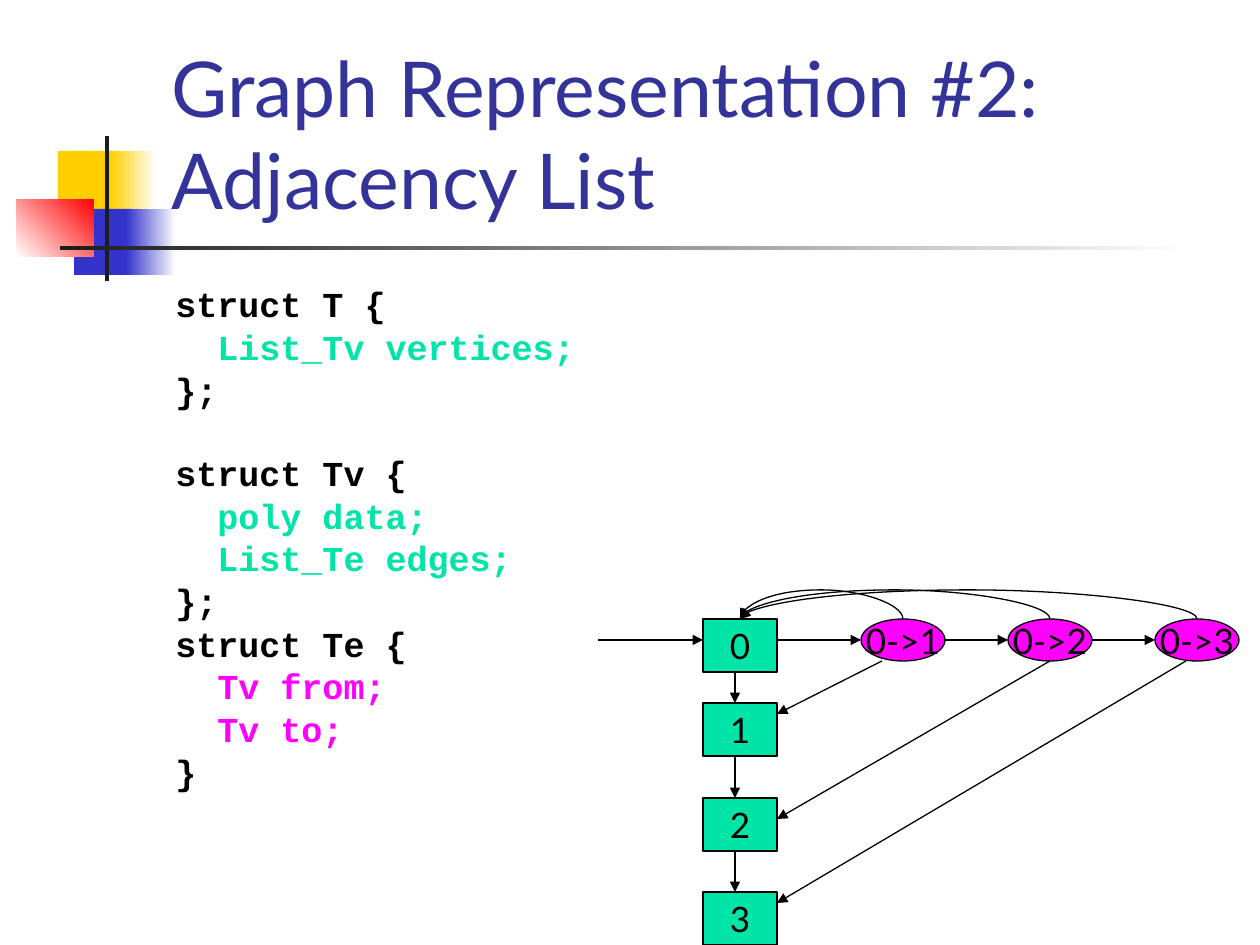
"""Build the adjacency list slide: struct code beside a linked diagram of vertices and edges."""
import pptx
import pptx.dml.color
import pptx.enum.shapes
import pptx.enum.text
import pptx.oxml
import pptx.oxml.ns
import pptx.util

RGB = pptx.dml.color.RGBColor
SHAPE = pptx.enum.shapes.MSO_SHAPE
CONNECTOR = pptx.enum.shapes.MSO_CONNECTOR
ANCHOR = pptx.enum.text.MSO_ANCHOR
ALIGN = pptx.enum.text.PP_ALIGN
Pt = pptx.util.Pt

BLACK, WHITE = RGB(0, 0, 0), RGB(255, 255, 255)
GOLD, BLUE, RED = RGB(0xFF, 0xCF, 0x01), RGB(0x33, 0x33, 0xCC), RGB(255, 0, 0)
DARK, NAVY = RGB(0x1C, 0x1C, 0x1C), RGB(0x33, 0x33, 0x99)
GREEN, MAGENTA = RGB(0, 0xE4, 0xA8), RGB(255, 0, 255)

TITLE = "Graph Representation #2: Adjacency List"
CODE = [
    [("struct T {", BLACK), ("  List_Tv vertices;", GREEN), ("};", BLACK)],
    [("struct Tv {", BLACK), ("  poly data;", GREEN), ("  List_Te edges;", GREEN), ("};", BLACK),
     ("struct Te {", BLACK), ("  Tv from;", MAGENTA), ("  Tv to;", MAGENTA), ("}", BLACK)],
]
LINE_GAP, BLOCK_GAP = 5.15, 28.4
ORNAMENTS = [
    ((58, 151, 60, 66), (GOLD,), 0),
    ((111, 151, 45, 66), (GOLD, WHITE), 0),
    ((74, 209, 58, 66), (BLUE,), 0),
    ((126, 209, 50, 66), (BLUE, WHITE), 0),
    ((17, 199, 77, 58), (WHITE, RED), 45),
    ((105, 136, 4, 145), (DARK,), 0),
    ((60, 246, 1134, 4), (DARK, WHITE), 0),
]
VERTICES = [("0", 619), ("1", 703), ("2", 798), ("3", 892)]
EDGES = ["0->1", "0->2", "0->3"]
TARGET_LINKS = [(882, 714), (1050, 819), (1186, 903)]
VERTEX_X, VERTEX_W, VERTEX_H = 703, 74, 53
EDGE_X, EDGE_STEP, EDGE_W, EDGE_H = 861, 147, 84, 42
ROW_TOP, ROW_MID, DOWN_X, ENTRY_X = 619, 640, 735, 598
LOOP_X, LOOP_RISE, LOOP_DEPTH = 740, 32, 1588


def px(n):
    return pptx.util.Emu(round(n * 914400 / 126))


def add_run(p, text, font, size, color, bold=False):
    r = p.add_run()
    r.text = text
    r.font.name, r.font.size, r.font.bold = font, Pt(size), bold
    r.font.color.rgb = color


def add_frame(slide, box):
    tf = slide.shapes.add_textbox(*map(px, box)).text_frame
    tf.word_wrap = True
    return tf


def add_ornament(slide, box, colors, angle):
    s = slide.shapes.add_shape(SHAPE.RECTANGLE, *map(px, box))
    s.shadow.inherit = False
    s.line.fill.background()
    if len(colors) == 1:
        s.fill.solid()
        s.fill.fore_color.rgb = colors[0]
        return
    s.fill.gradient()
    s.fill.gradient_angle = angle
    for stop, color, position in zip(s.fill.gradient_stops, colors, (0, 1)):
        stop.color.rgb = color
        stop.position = position


def add_node(slide, kind, box, text, color):
    s = slide.shapes.add_shape(kind, *map(px, box))
    s.shadow.inherit = False
    s.fill.solid()
    s.fill.fore_color.rgb = color
    s.line.color.rgb, s.line.width = BLACK, Pt(0.75)
    tf = s.text_frame
    tf.word_wrap = False
    tf.vertical_anchor = ANCHOR.MIDDLE
    p = tf.paragraphs[0]
    p.alignment = ALIGN.CENTER
    add_run(p, text, "Lato", 20, BLACK)


def add_arrow(slide, x1, y1, x2, y2, kind=CONNECTOR.STRAIGHT):
    c = slide.shapes.add_connector(kind, px(x1), px(y1), px(x2), px(y2))
    c.line.color.rgb, c.line.width = BLACK, Pt(0.75)
    ns = pptx.oxml.ns.nsdecls("a")
    c.line._get_or_add_ln().append(pptx.oxml.parse_xml(f'<a:tailEnd {ns} type="triangle"/>'))
    c.element.spPr.append(pptx.oxml.parse_xml(f"<a:effectLst {ns}/>"))
    return c


def add_loop(slide, x):
    c = add_arrow(slide, x, ROW_TOP, LOOP_X, ROW_TOP, CONNECTOR.CURVE)
    length = px(x - LOOP_X)
    c.left, c.top = px((x + LOOP_X) / 2) - LOOP_DEPTH // 2, px(ROW_TOP) - length // 2
    c.width, c.height = LOOP_DEPTH, length
    spPr = c.element.spPr
    xfrm = spPr.find(pptx.oxml.ns.qn("a:xfrm"))
    for name, value in (("rot", "16200000"), ("flipH", "1"), ("flipV", "1")):
        xfrm.set(name, value)
    geom = spPr.find(pptx.oxml.ns.qn("a:prstGeom"))
    for old in list(geom):
        geom.remove(old)
    adj = -round(px(LOOP_RISE) / LOOP_DEPTH * 100000)
    geom.append(pptx.oxml.parse_xml(
        f'<a:avLst {pptx.oxml.ns.nsdecls("a")}><a:gd name="adj1" fmla="val {adj}"/></a:avLst>'))


def add_text(slide):
    tf = add_frame(slide, (159, 29, 1074, 202))
    tf.vertical_anchor = ANCHOR.BOTTOM
    add_run(tf.paragraphs[0], TITLE, "Lato", 44, NAVY)

    tf = add_frame(slide, (163, 278, 1071, 567))
    tf.margin_top = px(13)
    p = None
    for block in CODE:
        for i, (line, color) in enumerate(block):
            if p is None:
                p = tf.paragraphs[0]
            else:
                p = tf.add_paragraph()
                p.space_before = Pt(LINE_GAP if i else BLOCK_GAP)
            p.line_spacing = 0.8
            add_run(p, line, "Courier New", 20, color, True)


def add_diagram(slide):
    for text, y in VERTICES:
        add_node(slide, SHAPE.RECTANGLE, (VERTEX_X, y, VERTEX_W, VERTEX_H), text, GREEN)
    for (_, y), (_, below) in zip(VERTICES, VERTICES[1:]):
        add_arrow(slide, DOWN_X, y + VERTEX_H, DOWN_X, below)

    right = VERTEX_X + VERTEX_W
    add_arrow(slide, ENTRY_X, ROW_MID, VERTEX_X, ROW_MID)
    previous = right
    for i, (text, (start_x, target_y)) in enumerate(zip(EDGES, TARGET_LINKS)):
        x = EDGE_X + i * EDGE_STEP
        add_node(slide, SHAPE.OVAL, (x, ROW_TOP, EDGE_W, EDGE_H), text, MAGENTA)
        add_arrow(slide, previous, ROW_MID, x, ROW_MID)
        add_arrow(slide, start_x, ROW_TOP + EDGE_H, right, target_y)
        add_loop(slide, x + EDGE_W // 2)
        previous = x + EDGE_W


def main():
    prs = pptx.Presentation()
    prs.slide_width, prs.slide_height = px(1260), px(945)
    slide = prs.slides.add_slide(prs.slide_layouts[6])
    for ornament in ORNAMENTS:
        add_ornament(slide, *ornament)
    add_text(slide)
    add_diagram(slide)
    prs.save("out.pptx")


if __name__ == "__main__":
    main()
